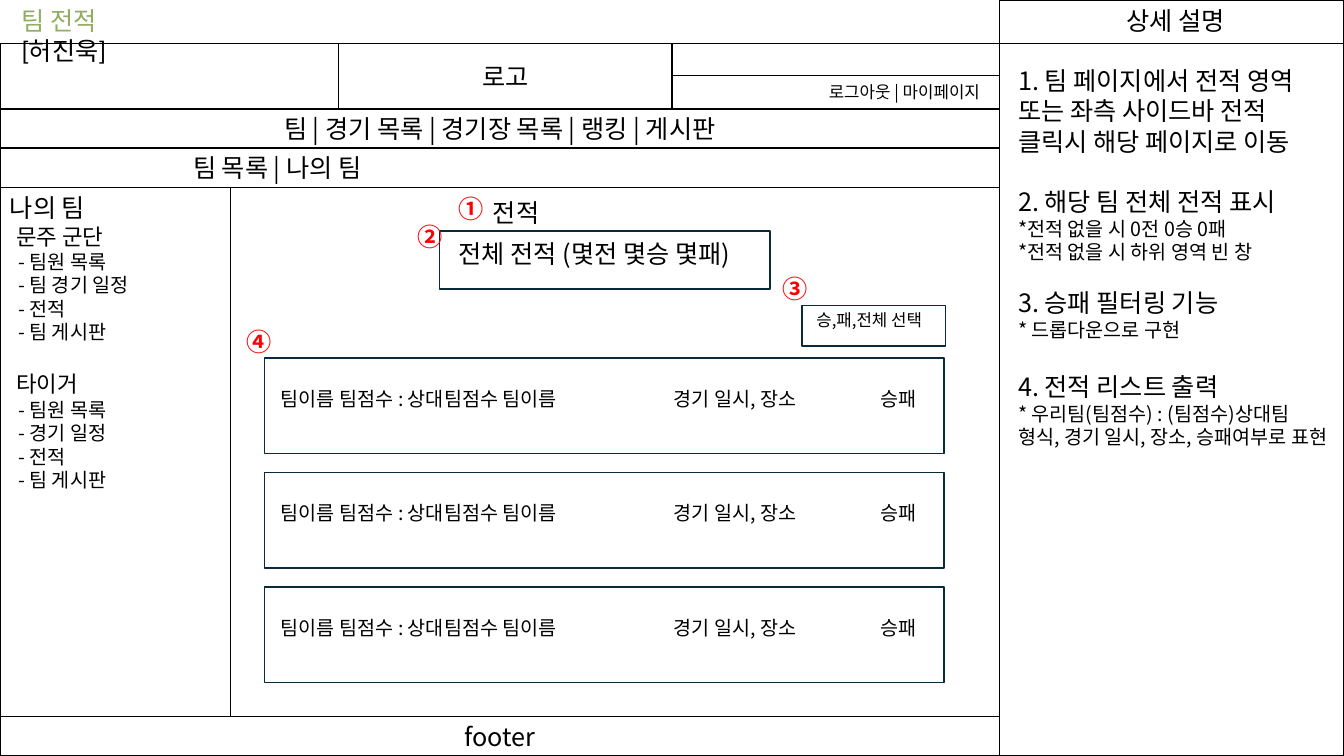
from lxml.etree import SubElement
from pptx import Presentation
from pptx.dml.color import RGBColor
from pptx.enum.shapes import MSO_SHAPE as SHAPE
from pptx.enum.text import MSO_ANCHOR as ANCHOR, MSO_AUTO_SIZE as AUTO, PP_ALIGN as ALIGN
from pptx.oxml.ns import qn
from pptx.util import Pt

BLACK = RGBColor(0, 0, 0)
WHITE = RGBColor(255, 255, 255)
RED = RGBColor(255, 0, 0)
GREEN = RGBColor(0x92, 0xAC, 0x65)
NAVY = RGBColor(0x09, 0x2A, 0x39)
KOREAN, LATIN = "Noto Sans CJK KR", "Lato"
LINE_HEIGHT = 1.2

TITLE, AUTHOR = "팀 전적", "[허진욱]"
NOTES_TITLE = "상세 설명"
# Each paragraph: text, size, space before, left indent
NOTES = [
    ("1. 팀 페이지에서 전적 영역 또는 좌측 사이드바 전적 클릭시 해당 페이지로 이동", 18, 0, 0),
    ("2. 해당 팀 전체 전적 표시", 18, 21.6, 0),
    ("*전적 없을 시 0전 0승 0패", 14, 0, 0),
    ("*전적 없을 시 하위 영역 빈 창", 14, 0, 0),
    ("3. 승패 필터링 기능", 18, 16.8, 0),
    ("* 드롭다운으로 구현", 14, 0, 0),
    ("4. 전적 리스트 출력", 18, 21.6, 0),
    ("* 우리팀(팀점수) : (팀점수)상대팀 형식, 경기 일시, 장소, 승패여부로 표현", 14, 0, 0),
]
TEAMS = [
    ("문주 군단", 0, ["팀원 목록", "팀 경기 일정", "전적", "팀 게시판"]),
    ("타이거", 19.2, ["팀원 목록", "경기 일정", "전적", "팀 게시판"]),
]
SIDEBAR = [("나의 팀", 18, 0, 0)]
for team, gap, pages in TEAMS:
    SIDEBAR.append((team, 16, gap, 4.5))
    SIDEBAR += [(f"- {page}", 14, 0, 6) for page in pages]

MAIN_W, SLIDE_W, SLIDE_H = 714, 960, 540
TOP, NAV_Y, SUBNAV_Y, BODY_Y, FOOTER_Y = 31, 77.8, 105.8, 133.9, 512
LOGO_X, LOGO_W = 242, 238
ACCOUNT_X, ACCOUNT_Y = 480, 54
# Panels: box, text, format
PANELS = [
    ((MAIN_W, TOP, SLIDE_W - MAIN_W, SLIDE_H - TOP), "", {}),
    ((MAIN_W, 0, SLIDE_W - MAIN_W, TOP), "", {}),
    ((0, TOP, MAIN_W, SUBNAV_Y - TOP), "", {}),
    ((LOGO_X, TOP, LOGO_W, NAV_Y - TOP), "로고", {"align": ALIGN.CENTER}),
    ((0, NAV_Y, MAIN_W, SUBNAV_Y - NAV_Y), "팀 | 경기 목록 | 경기장 목록 | 랭킹 | 게시판",
     {"align": ALIGN.CENTER}),
    ((ACCOUNT_X, ACCOUNT_Y, MAIN_W - ACCOUNT_X, NAV_Y - ACCOUNT_Y), "로그아웃 | 마이페이지",
     {"size": 12, "align": ALIGN.RIGHT, "right": 14}),
    ((0, FOOTER_Y, MAIN_W, SLIDE_H - FOOTER_Y), "footer", {"align": ALIGN.CENTER}),
    ((0, SUBNAV_Y, MAIN_W, FOOTER_Y - SUBNAV_Y), "", {}),
    ((0, SUBNAV_Y, MAIN_W, BODY_Y - SUBNAV_Y), "팀 목록 | 나의 팀", {"left": 138}),
    ((0, BODY_Y, 164.5, FOOTER_Y - BODY_Y), SIDEBAR, {"anchor": ANCHOR.TOP}),
]
ROW_X, ROW_Y, ROW_W, ROW_H, ROW_STEP, ROW_COUNT = 189, 255.6, 485.3, 68.4, 81.8, 3
# Row cells: offset from the row's left edge, width, text
ROW_CELLS = [
    (4.5, 260, "팀이름 팀점수 : 상대팀점수 팀이름"),
    (285.2, 125, "경기 일시, 장소"),
    (432.5, 46, "승패"),
]
OUTLINES = [(313.9, 164.9, 236.2, 41.5), (573, 218.2, 102.2, 29)]
OUTLINES += [(ROW_X, ROW_Y + i * ROW_STEP, ROW_W, ROW_H) for i in range(ROW_COUNT)]
LABELS = [
    ((797.5, 0, 110, 29), NOTES_TITLE, 18),
    ((345, 137.5, 60, 29), "전적", 18),
    ((320.4, 167, 250, 29), "전체 전적 (몇전 몇승 몇패)", 18),
    ((576, 218, 115, 22), "승,패,전체 선택", 12),
]
LABELS += [((ROW_X + dx, ROW_Y + i * ROW_STEP + 17, w, 24), text, 14)
           for i in range(ROW_COUNT) for dx, w, text in ROW_CELLS]
BADGES = [("①", 320.4, 134.6), ("②", 290.9, 154.8), ("③", 551.5, 191.5), ("④", 169.2, 229.7)]


def place(s, box):
    s.left, s.top, s.width, s.height = (Pt(v) for v in box)


def add_run(p, text, size, color, bold=False, font=KOREAN):
    r = p.add_run()
    r.text = text
    f = r.font
    f.name, f.size, f.bold, f.color.rgb = font, Pt(size), bold, color
    SubElement(r._r.get_or_add_rPr(), qn("a:ea")).set("typeface", KOREAN)


def write(s, content, size=18, color=BLACK, bold=False, align=ALIGN.LEFT,
          anchor=ANCHOR.TOP, left=7.2, right=7.2):
    """Fill a shape with one line of text or a list of paragraph tuples."""
    tf = s.text_frame
    tf.word_wrap, tf.auto_size, tf.vertical_anchor = True, AUTO.NONE, anchor
    tf.margin_left, tf.margin_right = Pt(left), Pt(right)
    tf.margin_top = tf.margin_bottom = Pt(3.6)
    paragraphs = [(content, size, 0, 0)] if isinstance(content, str) else content
    for i, (text, points, before, indent) in enumerate(paragraphs):
        p = tf.add_paragraph() if i else tf.paragraphs[0]
        pPr = p._p.get_or_add_pPr()
        pPr.set("marL", str(Pt(indent)))
        pPr.set("indent", "0")
        SubElement(pPr, qn("a:buNone"))
        p.alignment, p.space_before = align, Pt(before)
        p.line_spacing = Pt(points * LINE_HEIGHT)
        add_run(p, text, points, color, bold)
    return tf


def add_box(shapes, box, line, fill=None):
    s = shapes.add_shape(SHAPE.RECTANGLE, *(Pt(v) for v in box))
    s.shadow.inherit = False
    if fill is None:
        s.fill.background()
    else:
        s.fill.solid()
        s.fill.fore_color.rgb = fill
    s.line.color.rgb, s.line.width = line, Pt(1)
    return s


def add_label(shapes, box, text, **style):
    write(shapes.add_textbox(*(Pt(v) for v in box)), text, **style)


def main():
    prs = Presentation()
    prs.slide_width, prs.slide_height = Pt(SLIDE_W), Pt(SLIDE_H)
    shapes = prs.slides.add_slide(prs.slide_layouts[1]).shapes
    title, notes = shapes.placeholders

    for box, content, style in PANELS:
        s = add_box(shapes, box, BLACK, WHITE)
        if content:
            write(s, content, **{"anchor": ANCHOR.MIDDLE, **style})
    for box in OUTLINES:
        add_box(shapes, box, NAVY)
    for box, text, size in LABELS:
        add_label(shapes, box, text, size=size)
    for text, x, y in BADGES:
        add_label(shapes, (x, y, 34, 29), text, color=RED, bold=True)

    place(title, (8, 0, 132.5, 29))
    p = write(title, TITLE, color=GREEN).paragraphs[0]
    p.add_line_break()
    add_run(p, AUTHOR, 18, BLACK, font=LATIN)
    place(notes, (720, 43.2, 237, 300))
    write(notes, NOTES)
    for s in (title, notes):
        shapes._spTree.append(s._element)  # bring in front of the panels
    prs.save("out.pptx")


if __name__ == "__main__":
    main()
